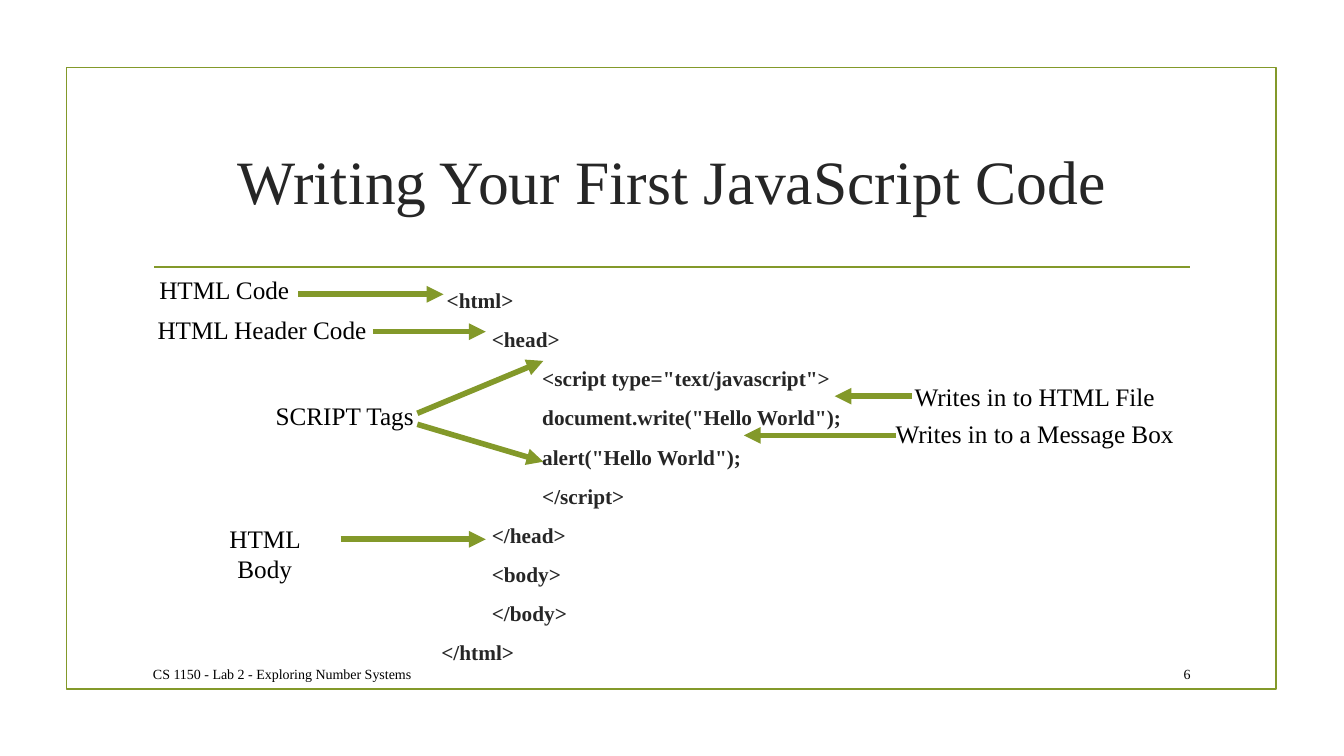
"""Build the slide that explains a first JavaScript program."""
import pptx
import pptx.dml.color
import pptx.enum.shapes
import pptx.enum.text
import pptx.oxml
import pptx.oxml.ns
import pptx.util

Pt = pptx.util.Pt
RGBColor = pptx.dml.color.RGBColor
ALIGN = pptx.enum.text.PP_ALIGN
ANCHOR = pptx.enum.text.MSO_ANCHOR

OLIVE = RGBColor(0x83, 0x99, 0x2A)
CHARCOAL = RGBColor(0x26, 0x26, 0x26)
BLACK = RGBColor(0, 0, 0)

CODE = [
    ("<html>", 3.8),
    ("<head>", 36),
    ('<script type="text/javascript">', 72),
    ('document.write("Hello World");', 72),
    ('alert("Hello World");', 72),
    ("</script>", 72),
    ("</head>", 36),
    ("<body>", 36),
    ("</body>", 36),
    ("</html>", 0),
]
LABELS = [
    ("HTML Code", 97.2, 192.2, 126),
    ("HTML Header Code", 100.8, 221, 172.8),
    ("SCRIPT Tags", 159.8, 282.2, 172.8),
    ("HTML Body", 135.4, 370.1, 107.3),
    ("Writes in to HTML File", 601.9, 268.6, 274.3),
    ("Writes in to a Message Box", 601.9, 295.2, 274.3),
]
ARROWS = [
    (213.1, 210.2, 316.8, 210.2),
    (266.4, 236.9, 347, 236.9),
    (298.1, 295.2, 388.1, 257.8),
    (298.1, 303.1, 388.1, 329.8),
    (243.4, 385.2, 347, 385.2),
    (651.6, 283, 596.2, 283),
    (640.1, 311, 531.4, 311),
]


def write(frame, lines, size=18, color=BLACK, bold=False, align=ALIGN.LEFT,
          anchor=ANCHOR.TOP, after=0):
    """Fill a text frame with (text, indent) lines in one format."""
    frame.word_wrap = True
    frame.auto_size = pptx.enum.text.MSO_AUTO_SIZE.NONE
    frame.vertical_anchor = anchor
    for index, (text, indent) in enumerate(lines):
        line = frame.add_paragraph() if index else frame.paragraphs[0]
        line.alignment = align
        line.space_before, line.space_after = Pt(0), Pt(after)
        if indent:
            line._p.get_or_add_pPr().set("marL", str(Pt(indent)))
        words = line.add_run()
        words.text = text
        words.font.name = "Times New Roman"
        words.font.size = Pt(size)
        words.font.bold = bold
        words.font.color.rgb = color


class CodeSlide:
    """Hold the accent colour and the slide, and add elements to it."""

    def __init__(self, slide, accent):
        self.slide = slide
        self.accent = accent

    def title(self, text, left, top, width, height):
        """Place and format the title placeholder."""
        heading = self.slide.shapes.title
        heading.left, heading.top = Pt(left), Pt(top)
        heading.width, heading.height = Pt(width), Pt(height)
        write(heading.text_frame, [(text, 0)], size=44, color=CHARCOAL,
              align=ALIGN.CENTER, anchor=ANCHOR.MIDDLE)

    def text(self, lines, left, top, width, height, **style):
        """Add a text box."""
        box = self.slide.shapes.add_textbox(
            Pt(left), Pt(top), Pt(width), Pt(height))
        write(box.text_frame, lines, **style)

    def frame(self, left, top, width, height):
        """Add the outlined border."""
        border = self.slide.shapes.add_shape(
            pptx.enum.shapes.MSO_SHAPE.RECTANGLE,
            Pt(left), Pt(top), Pt(width), Pt(height))
        border.shadow.inherit = False
        border.fill.background()
        border.line.color.rgb = self.accent
        border.line.width = Pt(1.25)

    def line(self, x1, y1, x2, y2, weight=1.25, arrow=False):
        """Add a straight line, with an arrowhead at its end if asked."""
        stroke = self.slide.shapes.add_connector(
            pptx.enum.shapes.MSO_CONNECTOR.STRAIGHT,
            Pt(x1), Pt(y1), Pt(x2), Pt(y2))
        stroke.line.color.rgb = self.accent
        stroke.line.width = Pt(weight)
        if arrow:
            head = pptx.oxml.parse_xml(
                "<a:tailEnd %s type='triangle'/>" % pptx.oxml.ns.nsdecls("a"))
            stroke.line._get_or_add_ln().append(head)
        stroke._element.spPr.append(pptx.oxml.parse_xml(
            "<a:effectLst %s/>" % pptx.oxml.ns.nsdecls("a")))


def main():
    """Compose and save the slide."""
    deck = pptx.Presentation()
    deck.slide_width, deck.slide_height = Pt(960), Pt(540)
    lesson = CodeSlide(deck.slides.add_slide(deck.slide_layouts[5]), OLIVE)

    lesson.frame(47.5, 48.2, 864, 444.2)
    lesson.line(110.2, 190.8, 850.3, 190.8)
    lesson.title("Writing Your First JavaScript Code", 102.2, 77, 756, 103)
    lesson.text([("CS 1150 - Lab 2 - Exploring Number Systems", 0)],
                102.2, 470.2, 575.3, 22.3, size=10, anchor=ANCHOR.MIDDLE)
    lesson.text([("6", 0)], 815, 470.2, 42.5, 22.3, size=10,
                align=ALIGN.RIGHT, anchor=ANCHOR.MIDDLE)
    lesson.text(CODE, 308.2, 201.6, 342.7, 268.6, size=15.2, color=CHARCOAL,
                bold=True, after=9.75)
    for label, left, top, width in LABELS:
        lesson.text([(label, 0)], left, top, width, 28.8, align=ALIGN.CENTER)
    for ends in ARROWS:
        lesson.line(*ends, weight=4, arrow=True)

    deck.save("out.pptx")


if __name__ == "__main__":
    main()
